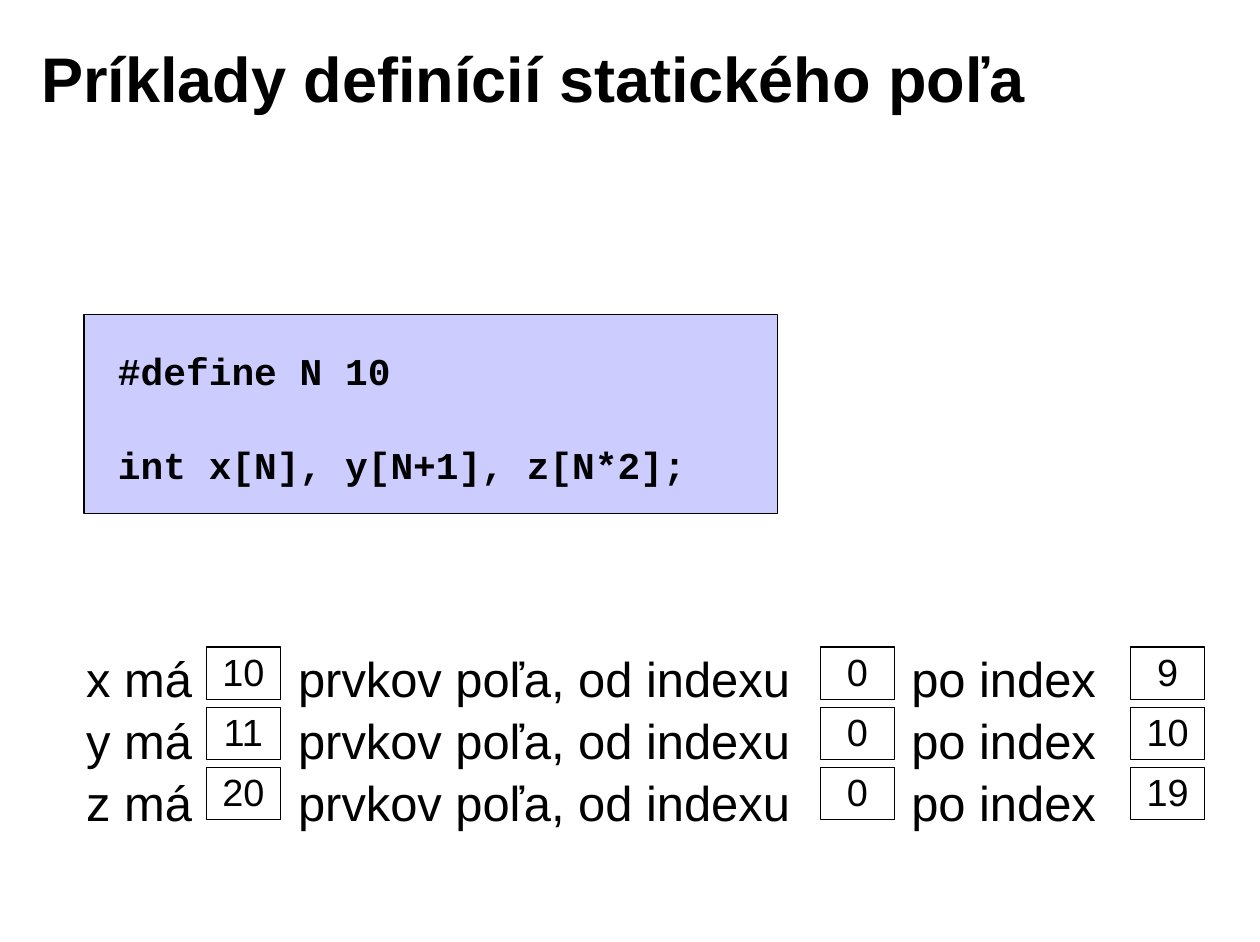
from pptx import Presentation
from pptx.dml.color import RGBColor
from pptx.enum.shapes import MSO_SHAPE
from pptx.enum.text import MSO_ANCHOR, MSO_AUTO_SIZE, PP_ALIGN
from pptx.oxml.xmlchemy import OxmlElement
from pptx.util import Cm, Pt

BLACK = RGBColor(0x00, 0x00, 0x00)
LILAC = RGBColor(0xCC, 0xCC, 0xFF)
RECTANGLE = MSO_SHAPE.RECTANGLE
TOP, MIDDLE = MSO_ANCHOR.TOP, MSO_ANCHOR.MIDDLE
LEFT, CENTER = PP_ALIGN.LEFT, PP_ALIGN.CENTER
NO_AUTOFIT = MSO_AUTO_SIZE.NONE

TITLE_ONLY = 5
CODE_LINES = ["#define N 10", "int x[N], y[N+1], z[N*2];"]
ARRAYS = [("x", "10", "0", "9"), ("y", "11", "0", "10"), ("z", "20", "0", "19")]
CELL_LEFTS = (2.97, 16.71, 23.65)
TAB_STOPS = (4.74, 18.46)


def set_frame(frame, anchor, left=0.28, top=0.16):
    """Set the margins, anchor and wrapping of a text frame."""
    frame.margin_left, frame.margin_right = Cm(left), Cm(0.28)
    frame.margin_top, frame.margin_bottom = Cm(top), Cm(0.16)
    frame.vertical_anchor = anchor
    frame.auto_size = NO_AUTOFIT
    frame.word_wrap = True


def add_span(para, text, size, font="Arial", bold=False, align=LEFT):
    """Add one formatted run to a paragraph."""
    para.alignment = align
    span = para.add_run()
    span.text = text
    span.font.name = font
    span.font.size = Pt(size)
    span.font.bold = bold
    span.font.color.rgb = BLACK


def get_para(frame, index):
    """Return the first paragraph of a frame, or a new one for later lines."""
    return frame.add_paragraph() if index else frame.paragraphs[0]


def add_tab_stops(para, stops):
    """Give a paragraph left tab stops at the given centimetres."""
    tab_list = OxmlElement("a:tabLst")
    for stop in stops:
        tab = OxmlElement("a:tab")
        tab.set("pos", str(Cm(stop)))
        tab.set("algn", "l")
        tab_list.append(tab)
    para._p.get_or_add_pPr().append(tab_list)


def add_rectangle(page, left, top, width, height, fill=None):
    """Add a thinly outlined rectangle, filled only when a colour is given."""
    box = page.shapes.add_shape(RECTANGLE, Cm(left), Cm(top), Cm(width), Cm(height))
    box.shadow.inherit = False
    box.line.color.rgb = BLACK
    box.line.width = Pt(0.75)
    if fill is None:
        box.fill.background()
    else:
        box.fill.solid()
        box.fill.fore_color.rgb = fill
    return box


def add_title(page, left, top, width, height):
    """Place the heading in the title placeholder."""
    title = page.shapes.title
    title.left, title.top = Cm(left), Cm(top)
    title.width, title.height = Cm(width), Cm(height)
    set_frame(title.text_frame, MIDDLE)
    add_span(title.text_frame.paragraphs[0], "Príklady definícií statického poľa", 40, bold=True)


def add_code(page, left, top, width, height):
    """Add the code panel with a line's gap between its statements."""
    frame = add_rectangle(page, left, top, width, height, LILAC).text_frame
    set_frame(frame, TOP, left=0.76, top=0.69)
    for index, line in enumerate(CODE_LINES):
        para = get_para(frame, index)
        para.line_spacing = 1.06
        if index:
            para.space_before = Pt(28.8)
        add_span(para, line, 24, "Courier New", bold=True)


def add_answers(page, left, top, width, height):
    """Add one sentence per array and the boxed numbers in its gaps."""
    box = page.shapes.add_textbox(Cm(left), Cm(top), Cm(width), Cm(height))
    set_frame(box.text_frame, TOP)
    for row, (name, *numbers) in enumerate(ARRAYS):
        para = get_para(box.text_frame, row)
        para.line_spacing = 1.05
        add_tab_stops(para, TAB_STOPS)
        add_span(para, f"{name} má\tprvkov poľa, od indexu\tpo index", 31)
        for cell_left, number in zip(CELL_LEFTS, numbers):
            cell = add_rectangle(page, left + cell_left, top + 0.18 + row * 1.35, 1.65, 1.17)
            set_frame(cell.text_frame, MIDDLE, top=0.06)
            add_span(cell.text_frame.paragraphs[0], number, 24, align=CENTER)


def main():
    """Build and save the slide."""
    deck = Presentation()
    deck.slide_width, deck.slide_height = Cm(28.19), Cm(21.08)
    page = deck.slides.add_slide(deck.slide_layouts[TITLE_ONLY])
    add_title(page, 0.64, 0.43, 22.63, 2.59)
    add_code(page, 1.88, 7.04, 15.52, 4.45)
    add_answers(page, 1.65, 14.3, 25.15, 4.22)
    deck.save("out.pptx")


if __name__ == "__main__":
    main()
